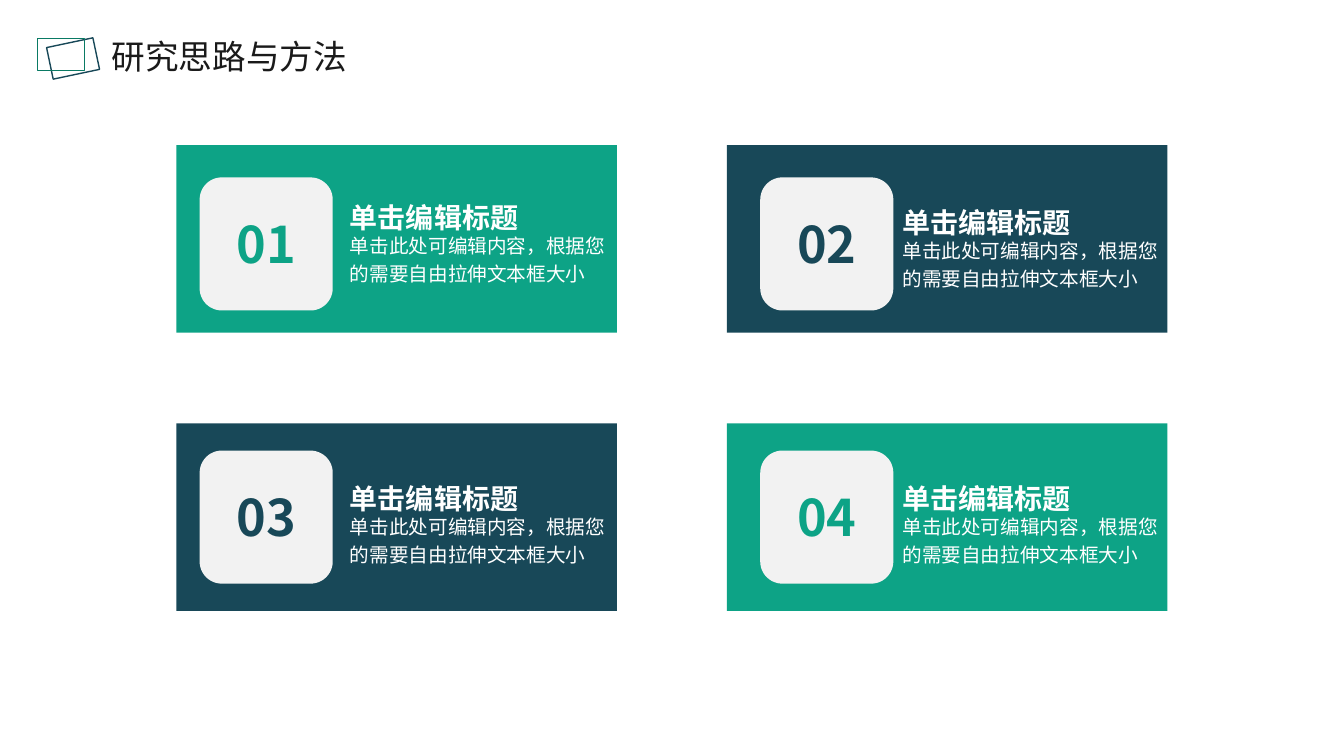
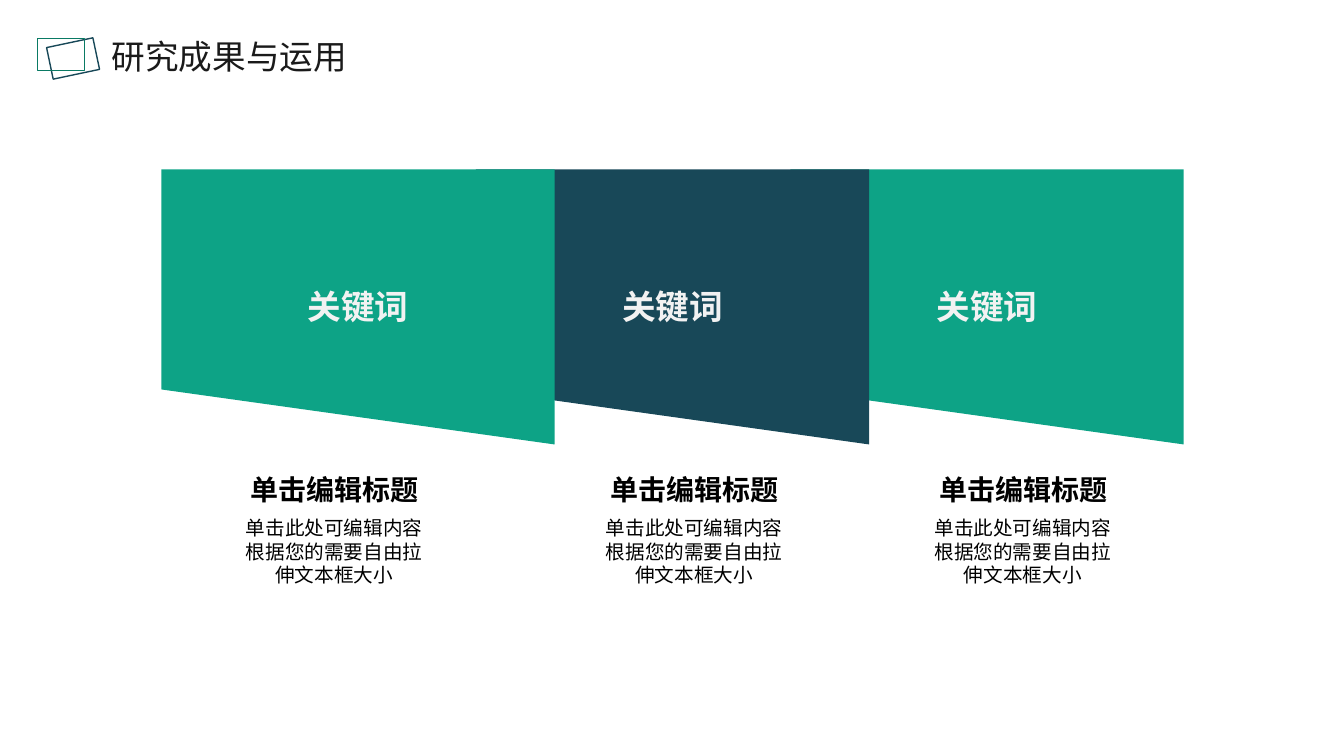
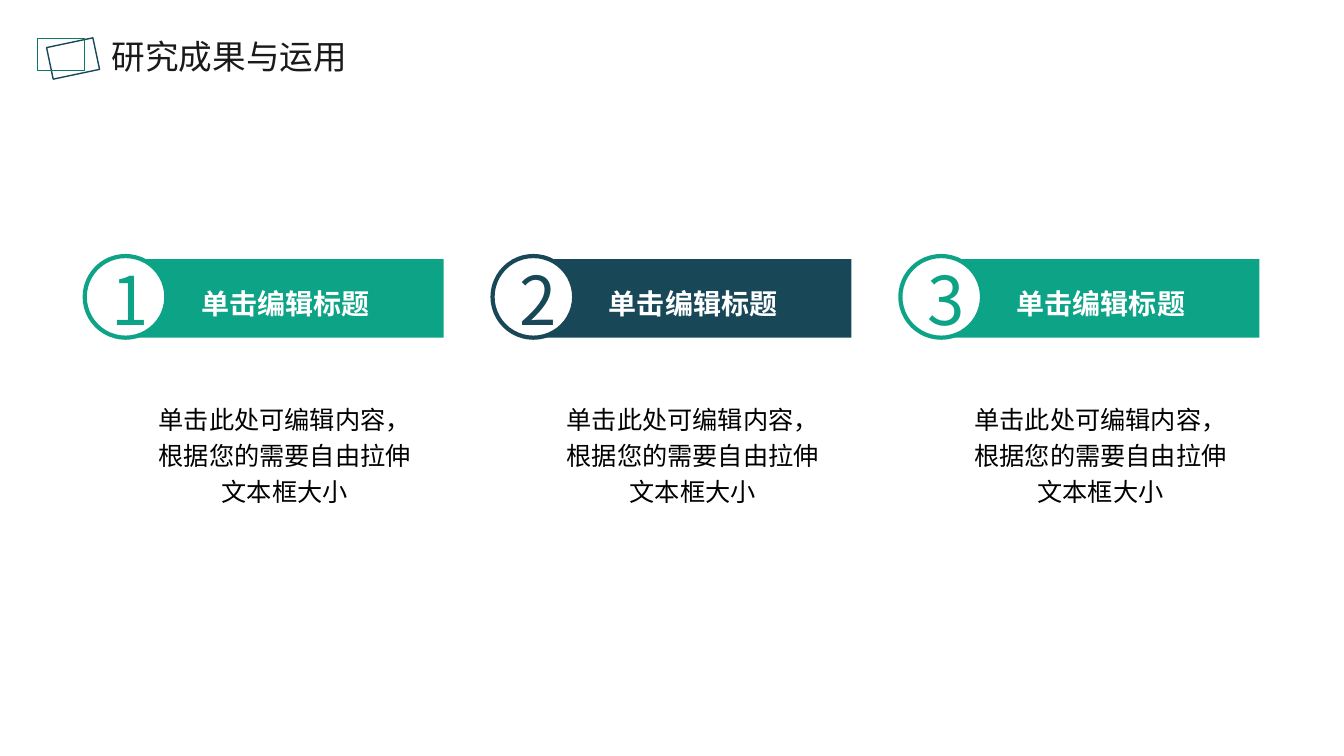
from math import cos, radians, sin

from lxml import etree
from pptx import Presentation
from pptx.dml.color import RGBColor
from pptx.enum.shapes import MSO_SHAPE
from pptx.enum.text import MSO_AUTO_SIZE, PP_ALIGN
from pptx.oxml.ns import qn
from pptx.util import Inches, Pt

RECT = MSO_SHAPE.RECTANGLE
ROUND = MSO_SHAPE.ROUNDED_RECTANGLE
OVAL = MSO_SHAPE.OVAL
SLANT = MSO_SHAPE.FLOWCHART_MANUAL_INPUT
LEFT, MID = PP_ALIGN.LEFT, PP_ALIGN.CENTER
GROW = MSO_AUTO_SIZE.SHAPE_TO_FIT_TEXT

GREEN = RGBColor(0x0D, 0xA3, 0x86)
NAVY = RGBColor(0x18, 0x48, 0x58)
PINE = RGBColor(0x0A, 0x7A, 0x64)
PALE = RGBColor(0xF2, 0xF2, 0xF2)
INK = RGBColor(0x1A, 0x1A, 0x1A)
BLACK = RGBColor(0, 0, 0)
WHITE = RGBColor(255, 255, 255)
HUES = (GREEN, NAVY, GREEN)

SANS, CJK = "Arial", "Noto Sans CJK SC"
HEAD = "单击编辑标题"
BODY = "单击此处可编辑内容，根据您的需要自由拉伸文本框大小"


def paint(shape, fill=None, line=None, width=1):
    shape.shadow.inherit = False
    if fill is None:
        shape.fill.background()
    else:
        shape.fill.solid()
        shape.fill.fore_color.rgb = fill
    if line is None:
        shape.line.fill.background()
    else:
        shape.line.color.rgb = line
        shape.line.width = Pt(width)
    return shape


def block(slide, kind, x, y, w, h, **look):
    box = (Inches(v) for v in (x, y, w, h))
    return paint(slide.shapes.add_shape(kind, *box), **look)


def write(slide, text, x, y, w, h, size, color, bold=False, align=MID,
          face=SANS, space=None):
    box = slide.shapes.add_textbox(*(Inches(v) for v in (x, y, w, h)))
    frame = box.text_frame
    frame.word_wrap = True
    frame.auto_size = GROW
    frame.margin_left = frame.margin_right = 0
    frame.margin_top = frame.margin_bottom = 0
    para = frame.paragraphs[0]
    para.text = text
    para.alignment = align
    if space:
        para.line_spacing = space
    font = para.font
    font.name, font.size, font.bold = face, Pt(size), bold
    font.color.rgb = color
    props = para._p.pPr.find(qn("a:defRPr"))
    etree.SubElement(props, qn("a:ea")).set("typeface", CJK)


def start(deck, title):
    """Add a blank slide with the framed emblem and title."""
    slide = deck.slides.add_slide(deck.slide_layouts[6])
    tilt = block(slide, RECT, 0.49, 0.42, 0.47, 0.32, line=NAVY)
    tilt.rotation = 348.1
    block(slide, RECT, 0.37, 0.38, 0.47, 0.32, line=PINE)
    write(slide, title, 1.09, 0.36, 2.37, 0.4, 24, INK, face=CJK)
    return slide


def card(slide, num, x, y, hue, badge, text):
    """Draw a numbered card; badge and text are offsets from its corner."""
    block(slide, RECT, x, y, 4.37, 1.86, fill=hue)
    left, top = x + badge[0], y + badge[1]
    block(slide, ROUND, left, top, 1.32, 1.32, fill=PALE)
    write(slide, num, left, top + 0.35, 1.32, 0.61, 36, hue, True, face=CJK)
    left, top = x + text[0], y + text[1]
    write(slide, HEAD, left, top, 1.82, 0.37, 20, WHITE, True, LEFT,
          space=1.2)
    write(slide, BODY, left, top + 0.35, 2.55, 0.54, 14, WHITE, align=LEFT,
          space=1.2)


def methods(deck):
    slide = start(deck, "研究思路与方法")
    hues = (GREEN, NAVY, NAVY, GREEN)
    drops = (0.48, 0.53, 0.51, 0.51)
    for i, (hue, drop) in enumerate(zip(hues, drops)):
        row, col = divmod(i, 2)
        badge = (0.23 + 0.1 * col, 0.32 - 0.05 * row)
        text = (1.72 + 0.02 * col, drop)
        card(slide, f"{i + 1:02}", 1.75 + 5.46 * col, 1.44 + 2.76 * row,
             hue, badge, text)


def panel(slide, x, y, hue):
    shape = block(slide, SLANT, x, y, 3.9, 2.73, fill=hue)
    shape._element.spPr.xfrm.set("flipV", "1")


def caption(slide, x, y):
    write(slide, HEAD, x + 0.03, y, 1.84, 0.34, 20, BLACK, True)
    write(slide, BODY.replace("，", ""), x, y + 0.43, 1.89, 0.71, 14, BLACK)


def results(deck):
    slide = start(deck, "研究成果与运用")
    lefts = [1.6 + 3.12 * i for i in range(3)]
    # Each panel overlaps the one on its right
    for x, hue in reversed(list(zip(lefts, HUES))):
        panel(slide, x, 1.68, hue)
    for x in lefts:
        write(slide, "关键词", x + 1.03, 2.84, 1.84, 0.4, 24, PALE, True)
    for x in (2.37, 5.94, 9.2):
        caption(slide, x, 4.69)


def banner(slide, x, y, hue):
    """Draw a bar whose left end is hollowed by an arc round the ring."""
    cx, cy, r = x + 0.41, y + 0.41, 0.4
    top, foot, right = y + 0.03, y + 0.81, x + 3.56
    arc = [(cx + r * cos(radians(a)), cy + r * sin(radians(a)))
           for a in range(90, -70, -6)]
    path = slide.shapes.build_freeform(Inches(x + 0.54), Inches(top), 1.0)
    points = [(right, top), (right, foot), (cx, foot), *arc]
    path.add_line_segments([(Inches(a), Inches(b)) for a, b in points])
    paint(path.convert_to_shape(), fill=hue)


def step(slide, num, x, y, hue):
    block(slide, OVAL, x, y, 0.81, 0.81, line=hue, width=3)
    banner(slide, x, y, hue)
    write(slide, num, x + 0.2, y + 0.02, 0.5, 0.81, 48, hue, face=CJK)
    write(slide, HEAD, x + 0.71, y + 0.24, 2.56, 0.37, 20, WHITE, True,
          space=1.2)
    write(slide, BODY, x + 0.62, y + 1.41, 2.73, 1.06, 18, BLACK, space=1.2)


def steps(deck):
    slide = start(deck, "研究成果与运用")
    for i, hue in enumerate(HUES):
        step(slide, str(i + 1), 0.84 + 4.045 * i, 2.54, hue)


def main():
    deck = Presentation()
    deck.slide_width, deck.slide_height = Inches(13.33), Inches(7.5)
    methods(deck)
    results(deck)
    steps(deck)
    deck.save("out.pptx")


if __name__ == "__main__":
    main()
